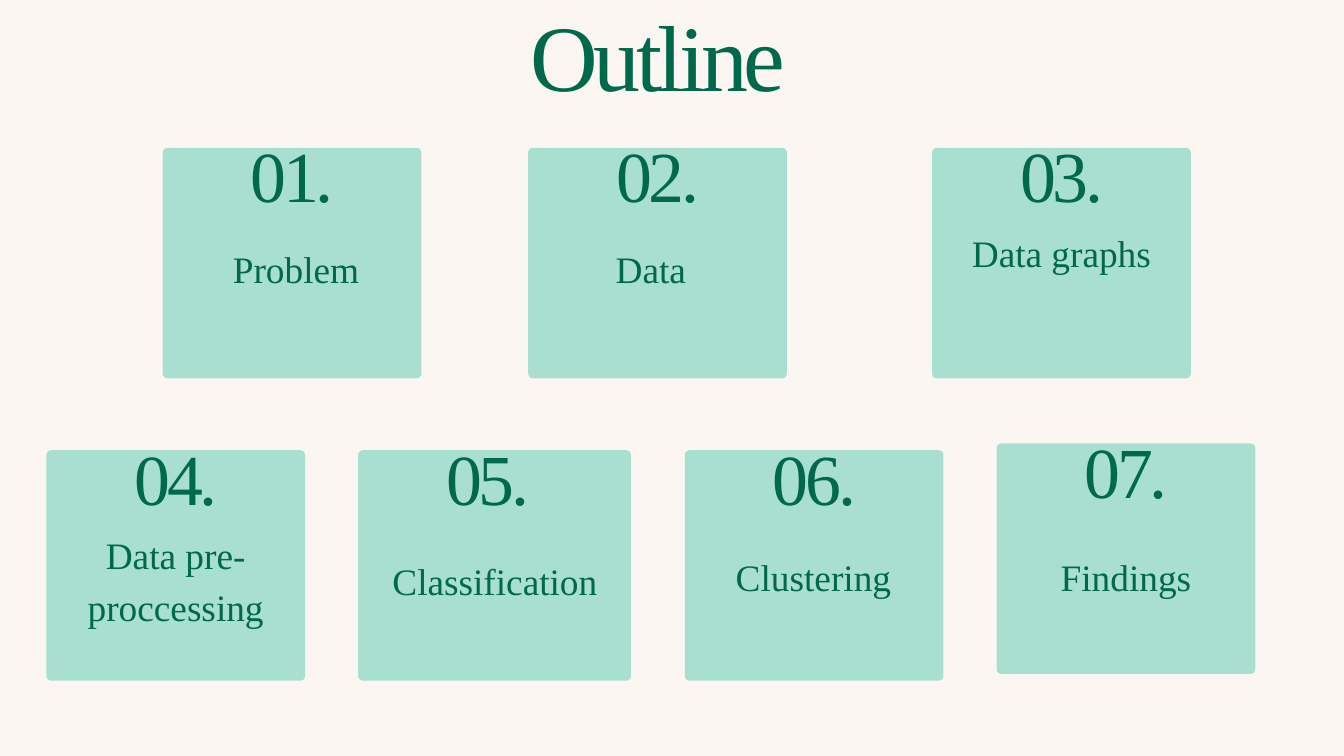
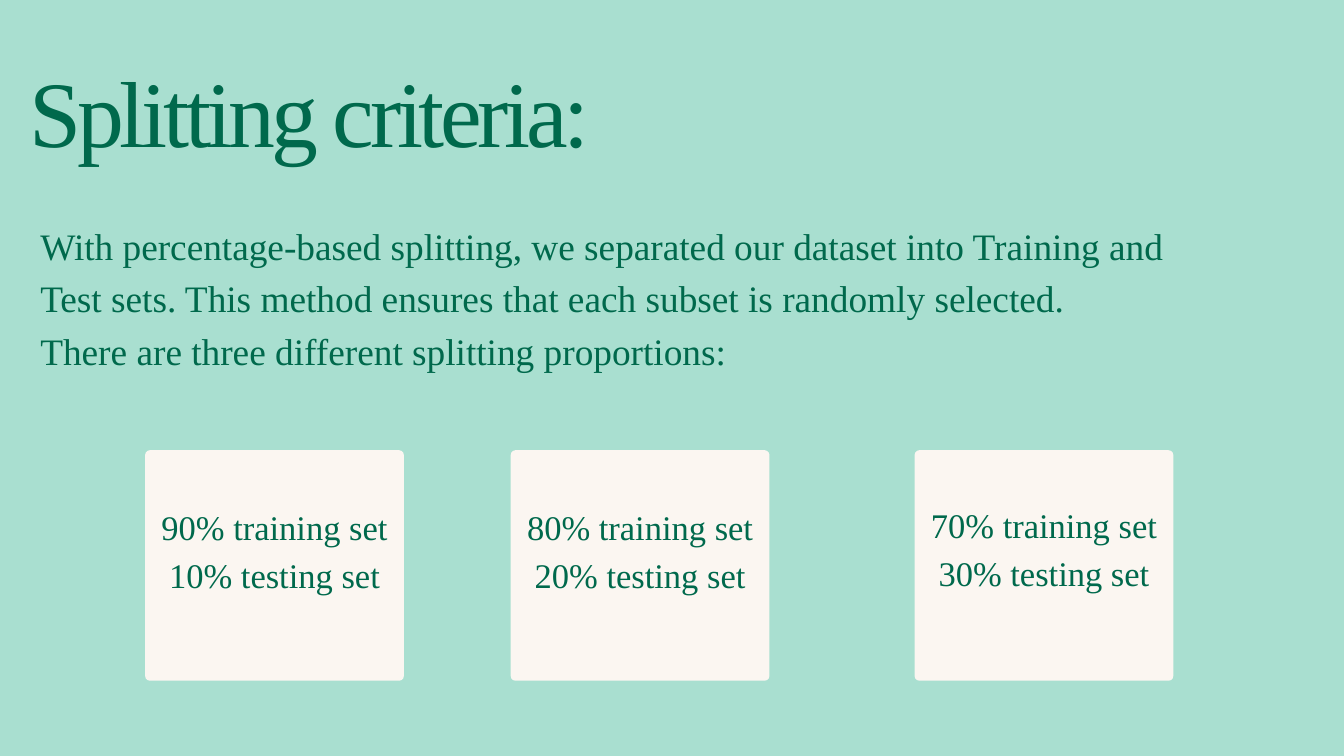
from dataclasses import dataclass

from pptx import Presentation
from pptx.dml.color import RGBColor
from pptx.enum.shapes import MSO_SHAPE
from pptx.enum.text import MSO_ANCHOR, PP_ALIGN
from pptx.util import Inches, Pt

ROUND = MSO_SHAPE.ROUNDED_RECTANGLE
LEFT, CENTER = PP_ALIGN.LEFT, PP_ALIGN.CENTER
TOP, MIDDLE = MSO_ANCHOR.TOP, MSO_ANCHOR.MIDDLE


@dataclass(frozen=True)
class Style:
    size: float
    line: float
    track: float = 0


class Theme:
    font = "Times New Roman"
    cream = RGBColor(0xFB, 0xF6, 0xF1)
    mint = RGBColor(0xA9, 0xDF, 0xD0)
    green = RGBColor(0x00, 0x69, 0x4C)
    title = Style(100.4, 90.4, -4.6)
    number = Style(76.9, 69.2, -3.5)
    body = Style(40, 56)
    split = Style(37, 51.8)
    card_w, card_h, radius = 3.85, 3.43, 0.07


# Card left, top and width, then label left, top and width
OUTLINE = [
    ("Problem", (2.42, 2.2, Theme.card_w), (3.37, 3.55, 2.07)),
    ("Data", (7.86, 2.2, Theme.card_w), (9.1, 3.55, 1.17)),
    ("Data graphs", (13.87, 2.2, Theme.card_w), (14.29, 3.31, 3.01)),
    ("Data pre-proccessing", (0.69, 6.7, Theme.card_w), (0.9, 7.81, 3.43)),
    ("Classification", (5.33, 6.7, 4.06), (5.44, 8.2, 3.85)),
    ("Clustering", (10.19, 6.7, Theme.card_w), (10.39, 8.14, 3.43)),
    ("Findings", (14.83, 6.6, Theme.card_w), (15.04, 8.14, 3.43)),
]

# Training share, card left and text top
SPLITS = [(90, 2.16, 6.16), (80, 7.6, 6.16), (70, 13.61, 6.13)]

INTRO = [
    "With percentage-based splitting, we separated our dataset into Training "
    "and Test sets. This method ensures that each subset is randomly selected.",
    "There are three different splitting proportions:",
]


def add_slide(deck, color):
    slide = deck.slides.add_slide(deck.slide_layouts[6])
    fill = slide.background.fill
    fill.solid()
    fill.fore_color.rgb = color
    return slide


def add_text(slide, lines, box, style, align=CENTER, anchor=TOP, inset=0):
    frame = slide.shapes.add_textbox(*map(Inches, box)).text_frame
    frame.word_wrap = True
    frame.vertical_anchor = anchor
    frame.margin_left = frame.margin_right = Inches(inset)
    frame.margin_top = frame.margin_bottom = Inches(inset)
    for index, line in enumerate(lines):
        para = frame.add_paragraph() if index else frame.paragraphs[0]
        run = para.add_run()
        run.text = line
        para.alignment = align
        para.line_spacing = Pt(style.line)
        para.font.name = Theme.font
        para.font.size = Pt(style.size)
        para.font.color.rgb = Theme.green
        if style.track:
            run._r.get_or_add_rPr().set("spc", str(round(style.track * 100)))


def add_card(slide, left, top, width, color):
    box = map(Inches, (left, top, width, Theme.card_h))
    card = slide.shapes.add_shape(ROUND, *box)
    card.adjustments[0] = Theme.radius / Theme.card_h
    card.shadow.inherit = False
    card.fill.solid()
    card.fill.fore_color.rgb = color
    card.line.fill.background()


def build_outline(deck):
    slide = add_slide(deck, Theme.cream)
    add_text(slide, ["Outline"], (4.44, 0.38, 10.7, 1.58), Theme.title)
    for number, (label, card, place) in enumerate(OUTLINE, 1):
        left, top, width = card
        add_card(slide, left, top, width, Theme.mint)
        add_text(slide, [f"{number:02}."],
                 (left + 1.08, top + 0.07, 1.7, 1.21), Theme.number)
        add_text(slide, [label], (*place, 0.83), Theme.body)


def build_splits(deck):
    slide = add_slide(deck, Theme.mint)
    add_text(slide, ["Splitting criteria:"], (0.44, 1.22, 9.56, 1.57),
             Theme.title, LEFT)
    add_text(slide, INTRO, (0.6, 3.21, 17.5, 2.33), Theme.body, LEFT)
    for train, left, top in SPLITS:
        add_card(slide, left, 6.7, Theme.card_w, Theme.cream)
        lines = [f"{train}% training set", f"{100 - train}% testing set"]
        add_text(slide, lines, (left, top, Theme.card_w, 3.97), Theme.split,
                 anchor=MIDDLE, inset=0.06)


def main():
    deck = Presentation()
    deck.slide_width, deck.slide_height = Inches(20), Inches(11.25)
    build_outline(deck)
    build_splits(deck)
    deck.save("out.pptx")


if __name__ == "__main__":
    main()
